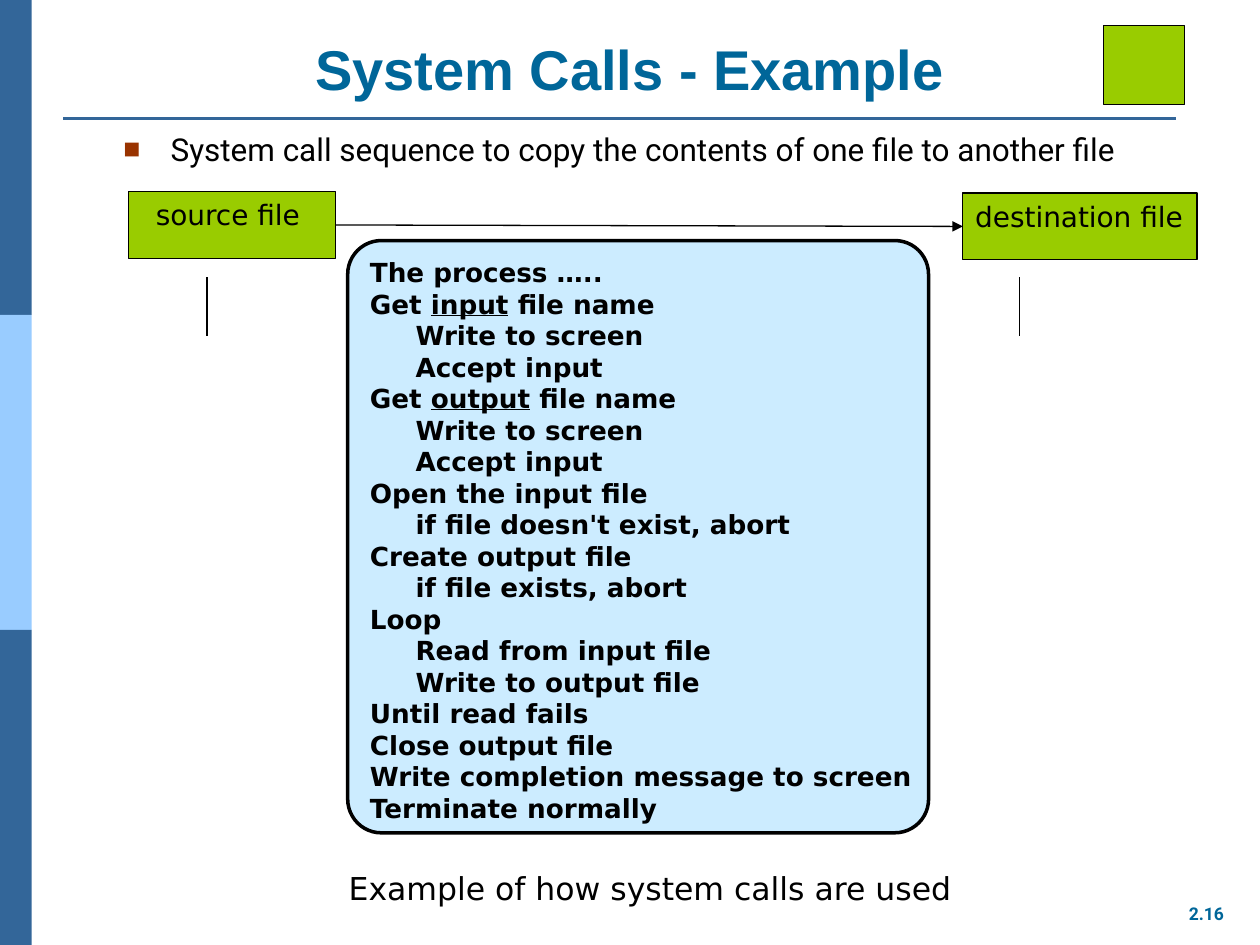
from lxml import etree
from pptx import Presentation
from pptx.dml.color import RGBColor
from pptx.enum.shapes import MSO_CONNECTOR, MSO_SHAPE
from pptx.enum.text import MSO_ANCHOR, PP_ALIGN
from pptx.oxml.ns import qn
from pptx.util import Cm, Pt

RECT, ROUND = MSO_SHAPE.RECTANGLE, MSO_SHAPE.ROUNDED_RECTANGLE
LINE = MSO_CONNECTOR.STRAIGHT
LEFT, CENTER = PP_ALIGN.LEFT, PP_ALIGN.CENTER
TOP, BOTTOM = MSO_ANCHOR.TOP, MSO_ANCHOR.BOTTOM

BLACK = RGBColor(0x00, 0x00, 0x00)
NAVY = RGBColor(0x33, 0x66, 0x99)
SKY = RGBColor(0x99, 0xCC, 0xFF)
PALE = RGBColor(0xCC, 0xEC, 0xFF)
TEAL = RGBColor(0x00, 0x66, 0x99)
GREEN = RGBColor(0x99, 0xCC, 0x00)
RUST = "993300"

SANS = "DejaVu Sans"
STEP = 0.92  # indent of a nested step, cm

# Each step is (level, text); underscores enclose underlined words.
STEPS = [
    (0, "The process ….."),
    (0, "Get _input_ file name"),
    (1, "Write to screen"),
    (1, "Accept input"),
    (0, "Get _output_ file name"),
    (1, "Write to screen"),
    (1, "Accept input"),
    (0, "Open the input file"),
    (1, "if file doesn't exist, abort"),
    (0, "Create output file"),
    (1, "if file exists, abort"),
    (0, "Loop"),
    (1, "Read from input file"),
    (1, "Write to output file"),
    (0, "Until read fails"),
    (0, "Close output file"),
    (0, "Write completion message to screen"),
    (0, "Terminate normally"),
]


def add_part(parent, tag, **attrs):
    part = etree.SubElement(parent, qn(tag))
    for name, value in attrs.items():
        part.set(name, str(value))
    return part


def draw_shape(slide, kind, box, fill, line=None, width=0.75):
    shape = slide.shapes.add_shape(kind, *map(Cm, box))
    shape.shadow.inherit = False
    shape.fill.solid()
    shape.fill.fore_color.rgb = fill
    if line is None:
        shape.line.fill.background()
    else:
        shape.line.color.rgb = line
        shape.line.width = Pt(width)
    return shape


def draw_line(slide, start, end, color=BLACK, width=0.75, arrow=False):
    line = slide.shapes.add_connector(LINE, *map(Cm, start + end))
    line.line.color.rgb = color
    line.line.width = Pt(width)
    if arrow:
        add_part(line.line._get_or_add_ln(), "a:tailEnd", type="triangle")
    add_part(line._element.spPr, "a:effectLst")


def add_bullet(para, indent):
    props = para._p.get_or_add_pPr()
    props.set("marL", str(Cm(indent)))
    props.set("indent", str(-Cm(indent)))
    color = add_part(props, "a:buClr")
    add_part(color, "a:srgbClr", val=RUST)
    add_part(props, "a:buSzPct", val=90000)
    add_part(props, "a:buFont", typeface="Arial")
    add_part(props, "a:buChar", char="■")


def write(shape, lines, font=SANS, size=18, color=BLACK, bold=False,
          align=LEFT, anchor=TOP, right=0.0, pitch=None, bullet=None):
    """Fill a shape with (level, text) lines, or with one plain string."""
    frame = shape.text_frame
    frame.word_wrap = True
    frame.vertical_anchor = anchor
    frame.margin_right = Cm(right)
    if isinstance(lines, str):
        lines = [(0, lines)]
    for i, (level, text) in enumerate(lines):
        para = frame.add_paragraph() if i else frame.paragraphs[0]
        para.alignment = align
        if pitch:
            para.line_spacing = Pt(pitch)
        if level:
            para._p.get_or_add_pPr().set("marL", str(Cm(level * STEP)))
        if bullet:
            add_bullet(para, bullet)
        for j, words in enumerate(text.split("_")):
            run = para.add_run()
            run.text = words
            style = run.font
            style.name, style.size, style.bold = font, Pt(size), bold
            style.color.rgb = color
            if j % 2:
                style.underline = True


def write_box(slide, box, text, **style):
    write(slide.shapes.add_textbox(*map(Cm, box)), text, **style)


def draw_side(slide, box):
    x, y, w, h = box
    for i, fill in enumerate((NAVY, SKY, NAVY)):
        draw_shape(slide, RECT, (x, y + i * h / 3, w, h / 3), fill)


def draw_head(slide, box):
    x, y, w, h = box
    write_box(slide, (x, y + 0.07, w, 1.6), "System Calls - Example",
              font="Arial", size=32, color=TEAL, bold=True,
              align=CENTER, anchor=BOTTOM, right=0.25)
    draw_shape(slide, RECT, (x + w - 1.88, y, 1.63, 1.6), GREEN, BLACK)
    draw_line(slide, (x, y + h), (x + w - 0.43, y + h), NAVY, 1.5)


def draw_flow(slide, box):
    """Source and destination files joined by an arrow, a tick under each."""
    x, y, w, h = box
    high, wide, far = 1.35, 4.17, 4.72
    source = draw_shape(slide, RECT, (x, y, wide, high), GREEN, BLACK)
    write(source, "source file", size=16, align=CENTER, right=0.41)
    goal = (x + w - far, y + 0.03, far, high)
    write(draw_shape(slide, RECT, goal, GREEN, BLACK),
          "destination file", size=16)
    draw_line(slide, (x + wide, y + high / 2),
              (goal[0], goal[1] + high / 2), arrow=True)
    for tick in (x + 1.58, goal[0] + 1.14):
        draw_line(slide, (tick, y + 1.73), (tick, y + h))


def draw_process(slide, box):
    panel = draw_shape(slide, ROUND, box, PALE, BLACK, 2)
    panel.adjustments[0] = 0.058
    write(panel, STEPS, size=15, bold=True, pitch=18)


def main():
    deck = Presentation()
    deck.slide_width, deck.slide_height = Cm(25.4), Cm(19.05)
    slide = deck.slides.add_slide(deck.slide_layouts[6])
    draw_side(slide, (0, 0, 0.64, 19.05))
    draw_head(slide, (1.27, 0.51, 22.86, 1.88))
    write_box(slide, (2.24, 2.49, 21.89, 12.57),
              "System call sequence to copy the contents of one file"
              " to another file", font="Roboto", bullet=0.95)
    draw_process(slide, (7.01, 4.85, 11.71, 11.94))
    draw_flow(slide, (2.59, 3.86, 21.54, 2.92))
    write_box(slide, (6.78, 17.4, 14.2, 1.02),
              "Example of how system calls are used")
    write_box(slide, (23.7, 18.08, 1.24, 0.69), "2.16", font="Roboto",
              size=10, color=TEAL, bold=True, align=CENTER, right=0.25)
    deck.save("out.pptx")


if __name__ == "__main__":
    main()
